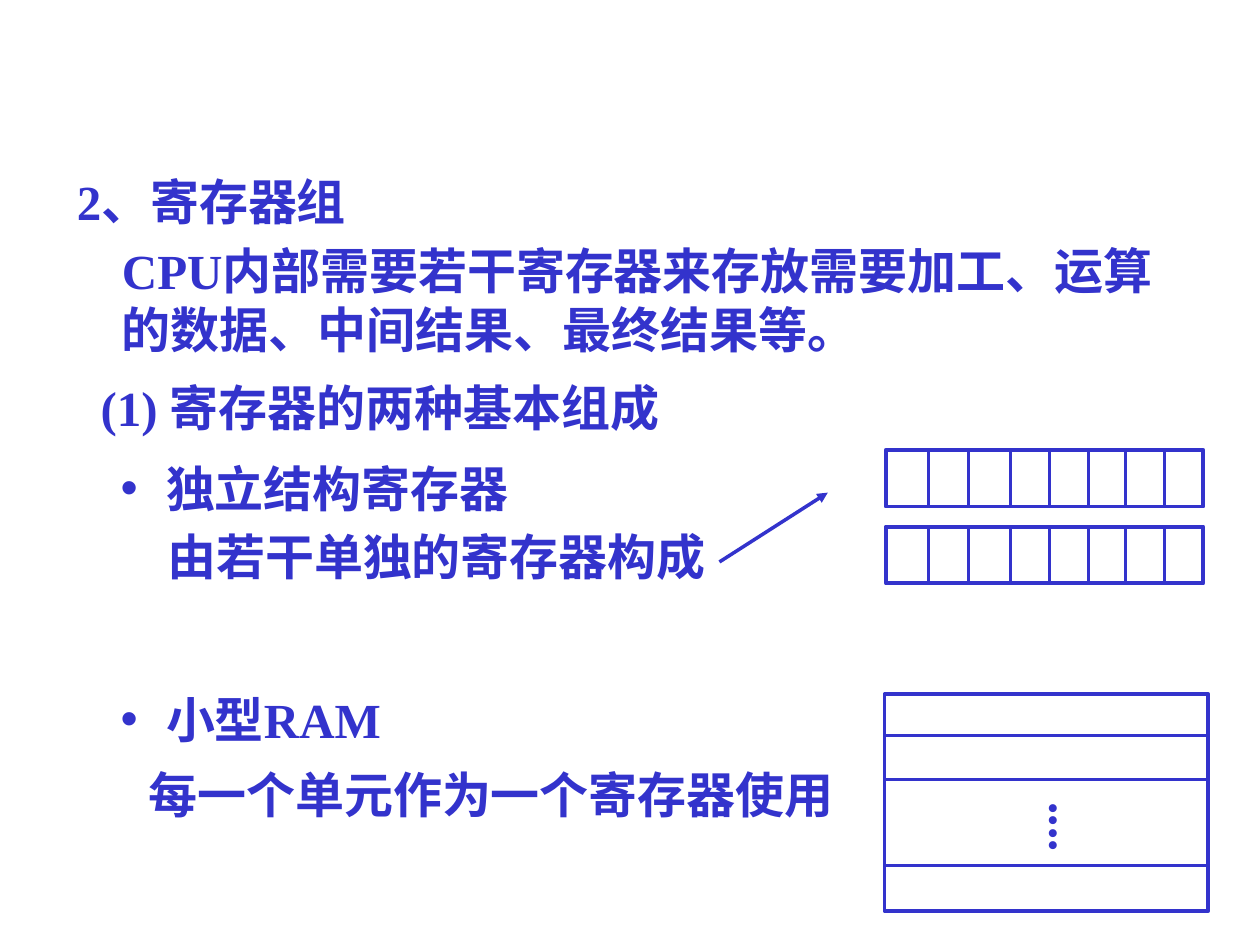
from dataclasses import dataclass

from lxml.etree import SubElement
from pptx import Presentation
from pptx.dml.color import RGBColor
from pptx.enum.shapes import MSO_CONNECTOR, MSO_SHAPE
from pptx.enum.text import MSO_ANCHOR, MSO_AUTO_SIZE, PP_ALIGN
from pptx.oxml.ns import qn
from pptx.util import Inches, Pt


@dataclass(frozen=True)
class Theme:
    ink: RGBColor = RGBColor(0x33, 0x33, 0xCC)
    latin: str = "Times New Roman"
    east_asian: str = "Noto Sans CJK SC"
    bullet_font: str = "Arial"
    text_size: Pt = Pt(28)
    frame_width: Pt = Pt(2.25)
    arrow_width: Pt = Pt(2)
    divider_width: Pt = Pt(1.75)


THEME = Theme()
BIT_DIVIDERS = (0.34, 0.66, 0.99, 1.3, 1.61, 1.9, 2.21)
RAM_DIVIDERS = (0.33, 0.68, 1.36)


def add_bullet(p):
    pPr = p._p.get_or_add_pPr()
    pPr.set("marL", str(Inches(0.47)))
    pPr.set("indent", str(Inches(-0.36)))
    SubElement(pPr, qn("a:buFont")).set("typeface", THEME.bullet_font)
    SubElement(pPr, qn("a:buChar")).set("char", "•")


def write_text(sp, text, bullet=False):
    tf = sp.text_frame
    tf.word_wrap = True
    tf.auto_size = MSO_AUTO_SIZE.SHAPE_TO_FIT_TEXT
    tf.vertical_anchor = MSO_ANCHOR.TOP
    p = tf.paragraphs[0]
    p.alignment = PP_ALIGN.LEFT
    p.space_before = Pt(0)
    if bullet:
        add_bullet(p)
    r = p.add_run()
    r.text = text
    r.font.name = THEME.latin
    r.font.size = THEME.text_size
    r.font.bold = True
    r.font.color.rgb = THEME.ink
    SubElement(r._r.get_or_add_rPr(), qn("a:ea")).set("typeface", THEME.east_asian)


def add_text(shapes, text, x, y, w, h=0.57, bullet=False):
    sp = shapes.add_textbox(Inches(x), Inches(y), Inches(w), Inches(h))
    write_text(sp, text, bullet)
    return sp


def set_title(s, text, x, y, w, h):
    sp = s.shapes.title
    sp.left, sp.top, sp.width, sp.height = map(Inches, (x, y, w, h))
    write_text(sp, text)


def add_line(shapes, x1, y1, x2, y2, width=THEME.divider_width, arrow=False):
    line = shapes.add_connector(MSO_CONNECTOR.STRAIGHT, *map(Inches, (x1, y1, x2, y2)))
    line.line.color.rgb = THEME.ink
    line.line.width = width
    if arrow:
        SubElement(line.line._get_or_add_ln(), qn("a:tailEnd")).set("type", "triangle")
    SubElement(line._element.spPr, qn("a:effectLst"))


def add_frame(shapes, x, y, w, h):
    sp = shapes.add_shape(MSO_SHAPE.RECTANGLE, *map(Inches, (x, y, w, h)))
    sp.shadow.inherit = False
    sp.fill.background()
    sp.line.color.rgb = THEME.ink
    sp.line.width = THEME.frame_width


def add_register(s, x, y, w=2.52, h=0.45):
    """A register drawn as a row of eight bits."""
    shapes = s.shapes.add_group_shape().shapes
    add_frame(shapes, x, y, w, h)
    for dx in BIT_DIVIDERS:
        add_line(shapes, x + dx, y + 0.01, x + dx, y + h - 0.01)


def add_ram(s, x, y, w=2.57, h=1.72):
    """A small RAM drawn as stacked units, with dots for those left out."""
    shapes = s.shapes.add_group_shape().shapes
    add_frame(shapes, x, y, w, h)
    for dy in RAM_DIVIDERS:
        add_line(shapes, x + 0.01, y + dy, x + w - 0.01, y + dy)
    tf = add_text(shapes, "....", x + 1.09, y + 0.76, 0.66, 0.65).text_frame
    tf.margin_left = tf.margin_right = Inches(0.05)
    tf.margin_top = tf.margin_bottom = Inches(0.1)
    tf._txBody.bodyPr.set("vert", "eaVert")


def main():
    prs = Presentation()
    prs.slide_width, prs.slide_height = Inches(10), Inches(7.5)
    s = prs.slides.add_slide(prs.slide_layouts[5])

    set_title(s, "2、寄存器组", 0.51, 1.31, 2.98, 0.57)
    add_text(s.shapes, "CPU内部需要若干寄存器来存放需要加工、运算的数据、中间结果、最终结果等。",
             0.87, 1.86, 8.46, 1.04)
    add_text(s.shapes, "(1) 寄存器的两种基本组成", 0.7, 2.95, 6.73)

    add_text(s.shapes, "独立结构寄存器", 0.75, 3.59, 3.94, bullet=True)
    add_text(s.shapes, "由若干单独的寄存器构成", 1.23, 4.13, 4.72)
    add_line(s.shapes, 5.71, 4.46, 6.57, 3.91, THEME.arrow_width, arrow=True)
    for y in (3.57, 4.18):
        add_register(s, 7.03, y)

    add_text(s.shapes, "小型RAM", 0.75, 5.42, 4.1, bullet=True)
    add_text(s.shapes, "每一个单元作为一个寄存器使用", 1.08, 6.02, 6.92)
    add_ram(s, 7.02, 5.51)

    prs.save("out.pptx")


if __name__ == "__main__":
    main()
